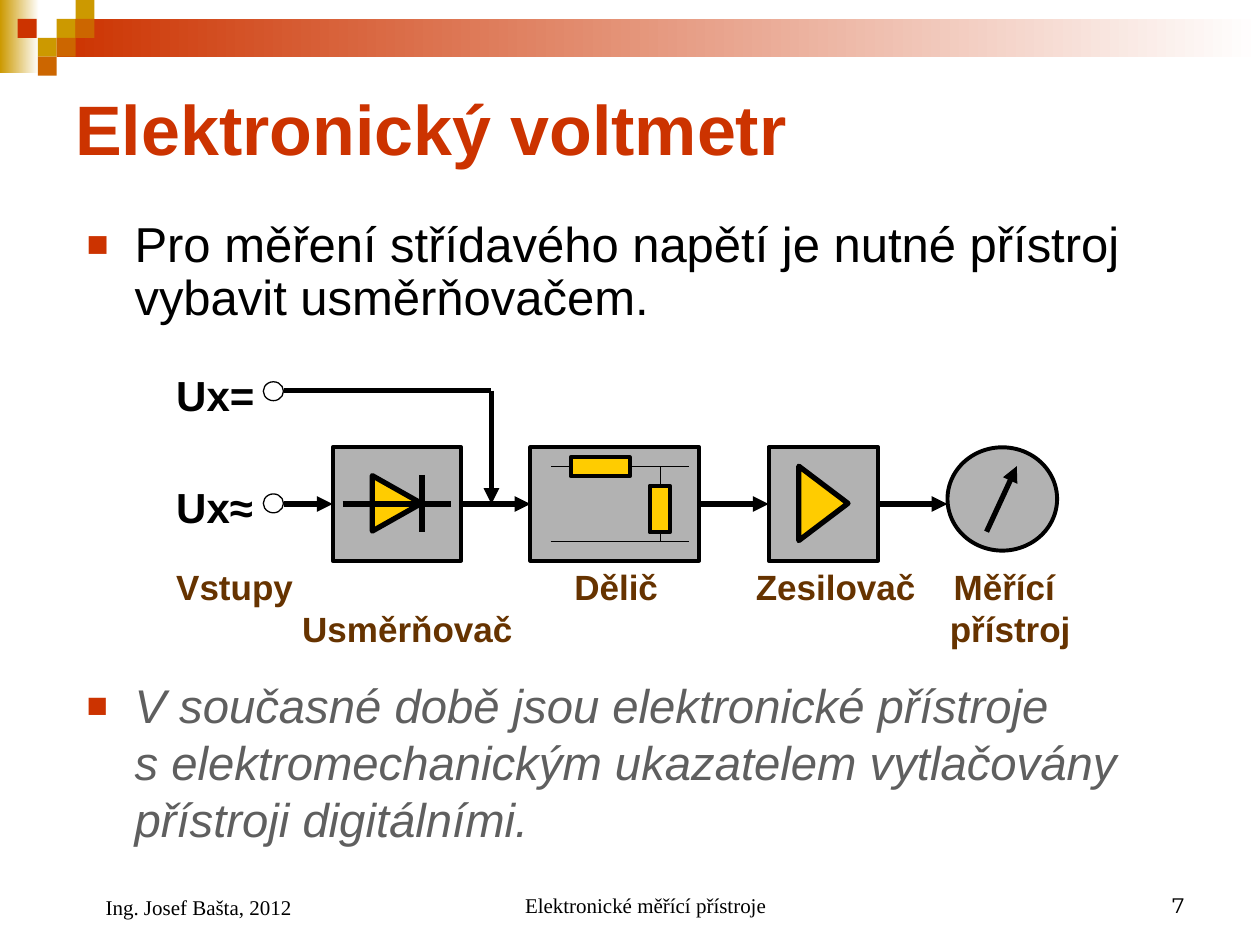
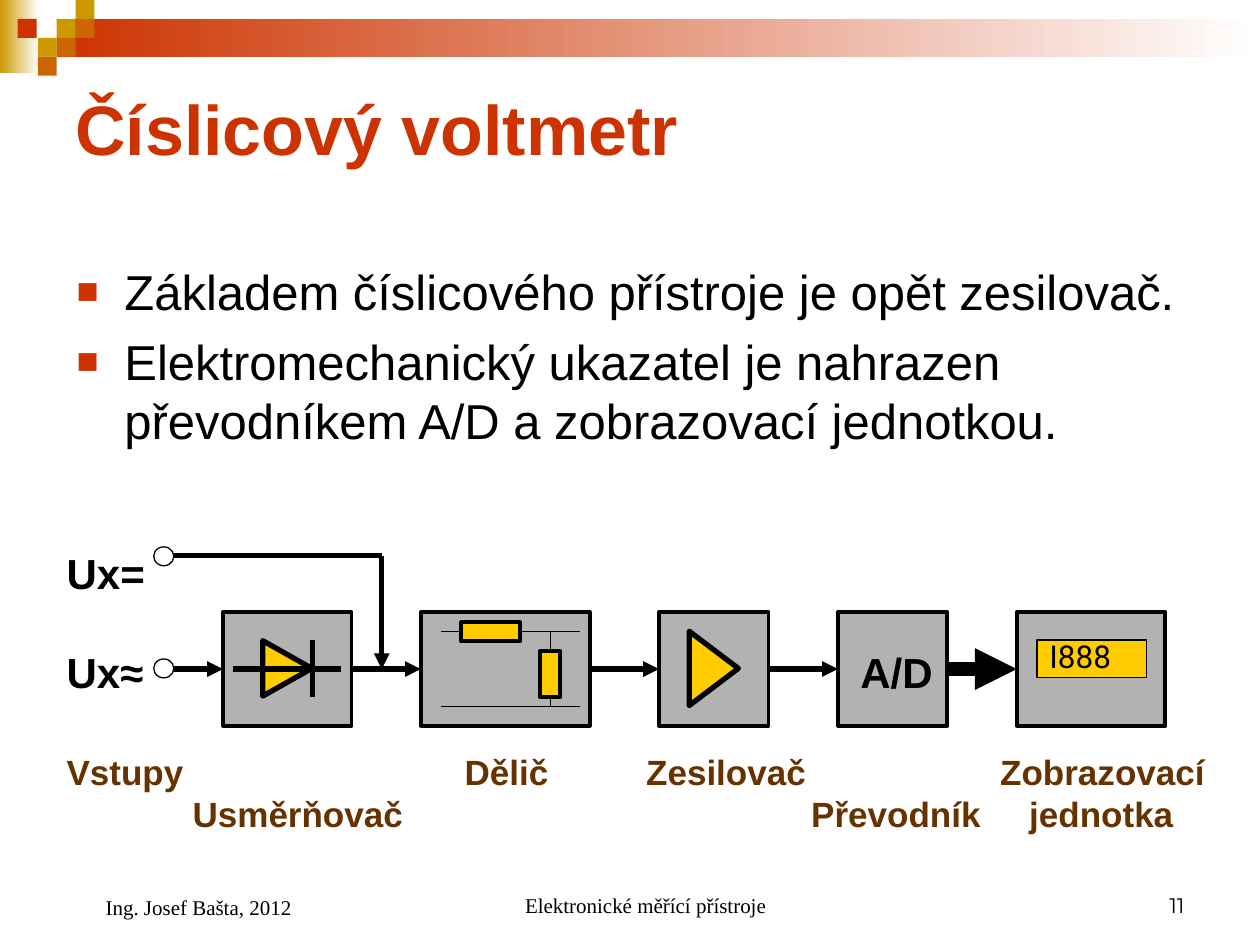
from lxml.etree import SubElement
from pptx import Presentation
from pptx.dml.color import RGBColor
from pptx.enum.shapes import MSO_CONNECTOR as LineKind, MSO_SHAPE as Preset
from pptx.enum.text import MSO_ANCHOR as Anchor, PP_ALIGN as Align
from pptx.oxml.ns import qn
from pptx.util import Inches, Pt

RED, GOLD, ORANGE = "CC3300", "CC9900", "CC6600"
BLACK, WHITE, GRAY, YELLOW = "000000", "FFFFFF", "B2B2B2", "FFCC00"
BROWN, MUTED = "663300", "5F5F5F"
RIGHT, LEFT = 3, 1


def color(value):
    """Turn a hex string into a colour."""
    return RGBColor.from_string(value)


class SlideMaker:
    """Hold the deck style, the current page and the drawing origin."""

    label_style = {"size": 24, "bold": True}
    caption_style = {"size": 20, "bold": True, "color": BROWN}
    footer_style = {"size": 12, "name": "Times New Roman"}

    def __init__(self):
        """Start an empty deck."""
        self.deck = Presentation()
        self.deck.slide_width, self.deck.slide_height = Inches(10), Inches(7.5)
        self.page, self.origin = None, (0, 0)

    def place(self, x, y):
        """Convert a point relative to the origin into lengths."""
        return Inches(self.origin[0] + x), Inches(self.origin[1] + y)

    def shape(self, x, y, width, height, fill=None, line=None, kind=Preset.RECTANGLE, turn=0):
        """Add a preset shape; a pair of colours makes a gradient."""
        box = self.page.shapes.add_shape(kind, *self.place(x, y), Inches(width), Inches(height))
        box.shadow.inherit = False
        box.rotation = turn
        if fill is None:
            box.fill.background()
        elif isinstance(fill, tuple):
            box.fill.gradient()
            box.fill.gradient_angle = 0
            for stop, value in zip(box.fill.gradient_stops, fill):
                stop.color.rgb = color(value)
        else:
            box.fill.solid()
            box.fill.fore_color.rgb = color(fill)
        if line:
            box.line.color.rgb = color(BLACK)
            box.line.width = Pt(line)
        else:
            box.line.fill.background()
        return box

    def line(self, start, end, width=3, arrow=False):
        """Add a straight line, with an arrowhead at its end if wanted."""
        link = self.page.shapes.add_connector(LineKind.STRAIGHT, *self.place(*start), *self.place(*end))
        link.line.color.rgb = color(BLACK)
        link.line.width = Pt(width)
        if arrow:
            SubElement(link.line._get_or_add_ln(), qn("a:tailEnd"), type="triangle")
        SubElement(link._element.spPr, qn("a:effectLst"))
        return link

    def join(self, first, second, width=3):
        """Add an arrow from the right side of one box to the left of another."""
        link = self.line((0, 0), (0, 0), width, True)
        link.begin_connect(first, RIGHT)
        link.end_connect(second, LEFT)

    def text(self, x, y, width, height, lines, style, anchor=Anchor.TOP, indent=0, **layout):
        """Add a text box with one paragraph per line."""
        box = self.page.shapes.add_textbox(*self.place(x, y), Inches(width), Inches(height))
        frame = box.text_frame
        frame.word_wrap, frame.vertical_anchor = True, anchor
        values = {"name": "Arial", **style}
        shade = values.pop("color", BLACK)
        values["size"] = Pt(values["size"])
        for index, content in enumerate(lines):
            para = frame.add_paragraph() if index else frame.paragraphs[0]
            para.text = content
            for name, value in layout.items():
                setattr(para, name, value)
            if indent:
                para._p.get_or_add_pPr().set("marL", str(Inches(indent)))
            for span in para.runs:
                for name, value in values.items():
                    setattr(span.font, name, value)
                span.font.color.rgb = color(shade)
        return frame.paragraphs

    def bullets(self, x, y, height, lines, style, **layout):
        """Add a list with square red bullets."""
        paras = self.text(x, y, 9, height, lines, style, indent=0.38, **layout)
        for index, para in enumerate(paras):
            if index:
                para.space_before = Pt(6)
            props = para._p.get_or_add_pPr()
            props.set("indent", str(-Inches(0.38)))
            SubElement(SubElement(props, qn("a:buClr")), qn("a:srgbClr"), val=RED)
            SubElement(props, qn("a:buSzPct"), val="75000")
            SubElement(props, qn("a:buFont"), typeface="Arial")
            SubElement(props, qn("a:buChar"), char="■")

    def captions(self, y, width, rows):
        """Add rows of captions, each given as text and tab stops."""
        lines = [line for line, _ in rows]
        paras = self.text(0, y, width, 0.77, lines, self.caption_style)
        for para, (_, stops) in zip(paras, rows):
            tabs = SubElement(para._p.get_or_add_pPr(), qn("a:tabLst"))
            for stop in stops:
                SubElement(tabs, qn("a:tab"), pos=str(Inches(stop)), algn="l")

    def start_page(self, title, number):
        """Add a page with its bands, title and footers."""
        self.page = self.deck.slides.add_slide(self.deck.slide_layouts[6])
        self.origin = (0, 0)
        self.shape(0, 0, 0.31, 0.58, (GOLD, WHITE))
        self.shape(0.45, 0.15, 9.55, 0.3, (RED, WHITE))
        for x, y, fill in ((0.45, 0.15, GOLD), (0.6, 0, GOLD), (0.6, 0.15, ORANGE), (0.3, 0.3, GOLD),
                           (0.14, 0.15, RED), (0.45, 0.3, ORANGE), (0.3, 0.45, ORANGE)):
            self.shape(x, y, 0.15, 0.15, fill)
        self.text(0.5, 0.5, 9, 1.03, [title], {"size": 40, "bold": True, "color": RED}, Anchor.MIDDLE)
        self.text(3.42, 6.83, 3.17, 0.5, ["Elektronické měřící přístroje"], self.footer_style,
                  Anchor.BOTTOM, 0.24, alignment=Align.CENTER)
        self.text(7.17, 6.83, 2.33, 0.5, [number], {**self.footer_style, "name": "Montserrat"},
                  Anchor.BOTTOM, alignment=Align.RIGHT)
        self.text(0.5, 6.83, 2.33, 0.52, ["Ing. Josef Bašta, 2012"], self.footer_style,
                  Anchor.BOTTOM, 0.24)

    def block(self, x, width):
        """Add a grey block centred on the signal axis."""
        return self.shape(x, -0.45, width, 0.9, GRAY, 2.25)

    def label(self, x, y, content):
        """Add a bold circuit label."""
        self.text(x, y, 0.95, 0.5, [content], self.label_style)

    def triangle(self, x, length):
        """Add a yellow triangle pointing right on the axis."""
        self.shape(x, -0.2, length, 0.39, YELLOW, 3, Preset.ISOSCELES_TRIANGLE, 90)

    def voltmeter_chain(self, left, axis, dc_label_y):
        """Draw inputs, rectifier, divider and amplifier; return the amplifier."""
        self.origin = (left, axis)
        rectifier, divider, amplifier = [
            self.block(x, width) for x, width in ((1.34, 1.02), (2.91, 1.34), (4.8, 0.87))]
        self.join(rectifier, divider)
        self.join(divider, amplifier)
        for y in (-0.97, -0.08):
            self.shape(0.79, y, 0.16, 0.15, None, 0.75, Preset.OVAL)
        self.label(0, dc_label_y, "Ux=")
        self.label(0, -0.23, "Ux≈")
        self.line((0.95, 0), (1.34, 0), arrow=True).end_connect(rectifier, LEFT)
        self.line((0.95, -0.9), (2.6, -0.9))
        self.line((2.6, -0.9), (2.6, 0), arrow=True)
        self.triangle(1.63, 0.44)
        self.line((2.05, -0.23), (2.05, 0.22))
        self.line((1.42, 0), (2.28, 0))
        self.shape(3.23, -0.37, 0.47, 0.15, YELLOW, 2.25)
        self.shape(3.75, -0.04, 0.37, 0.16, YELLOW, 2.25, turn=90)
        for start, end in (((3.7, -0.3), (4.17, -0.3)), ((3.94, -0.3), (3.94, -0.15)),
                           ((3.23, -0.3), (3.07, -0.3)), ((3.07, 0.3), (4.17, 0.3)),
                           ((3.94, 0.22), (3.94, 0.3))):
            self.line(start, end, 0.75)
        self.triangle(4.94, 0.59)
        return amplifier


def electronic_page(maker):
    """Build the page on the electronic voltmeter."""
    maker.start_page("Elektronický voltmetr", "7")
    maker.bullets(0.59, 1.7, 1.02, [
        "Pro měření střídavého napětí je nutné přístroj vybavit usměrňovačem."],
        {"size": 28}, line_spacing=0.9)
    maker.bullets(0.59, 5.32, 1.55, [
        "V současné době jsou elektronické přístroje\v"
        "s elektromechanickým ukazatelem vytlačovány přístroji digitálními."],
        {"size": 27, "italic": True, "color": MUTED})
    amplifier = maker.voltmeter_chain(1.3, 4, -1.12)
    maker.shape(6.22, -0.45, 0.87, 0.82, GRAY, 2.25, Preset.OVAL)
    maker.line((6.53, 0.22), (6.77, -0.3), arrow=True)
    maker.line((5.67, 0), (6.22, 0), arrow=True).begin_connect(amplifier, RIGHT)
    maker.captions(0.44, 7.56, [
        ("Vstupy\tDělič\tZesilovač\tMěřící", (3.16, 4.6, 6.17)),
        ("\tUsměrňovač\tpřístroj", (1, 6.14))])


def digital_page(maker):
    """Build the page on the digital voltmeter."""
    maker.start_page("Číslicový voltmetr", "11")
    maker.bullets(0.51, 2.03, 1.8, [
        "Základem číslicového přístroje je opět zesilovač.",
        "Elektromechanický ukazatel je nahrazen převodníkem A/D a zobrazovací jednotkou."],
        {"size": 28})
    amplifier = maker.voltmeter_chain(0.43, 5.31, -1.01)
    converter, display = maker.block(6.22, 0.87), maker.block(7.64, 1.18)
    maker.join(amplifier, converter)
    maker.join(converter, display, 8)
    maker.shape(7.8, -0.23, 0.87, 0.3, YELLOW, 0.75)
    maker.label(6.3, -0.23, "A/D")
    maker.text(7.8, -0.3, 0.94, 0.4, ["I888"], {"size": 18, "name": "Roboto"})
    maker.captions(0.6, 9.29, [
        ("Vstupy\tDělič\tZesilovač\tZobrazovací", (3.16, 4.6, 7.41)),
        ("\tUsměrňovač\tPřevodník\tjednotka", (1, 5.91, 7.64))])


def main():
    """Build both pages and save the deck."""
    maker = SlideMaker()
    electronic_page(maker)
    digital_page(maker)
    maker.deck.save("out.pptx")


if __name__ == "__main__":
    main()
